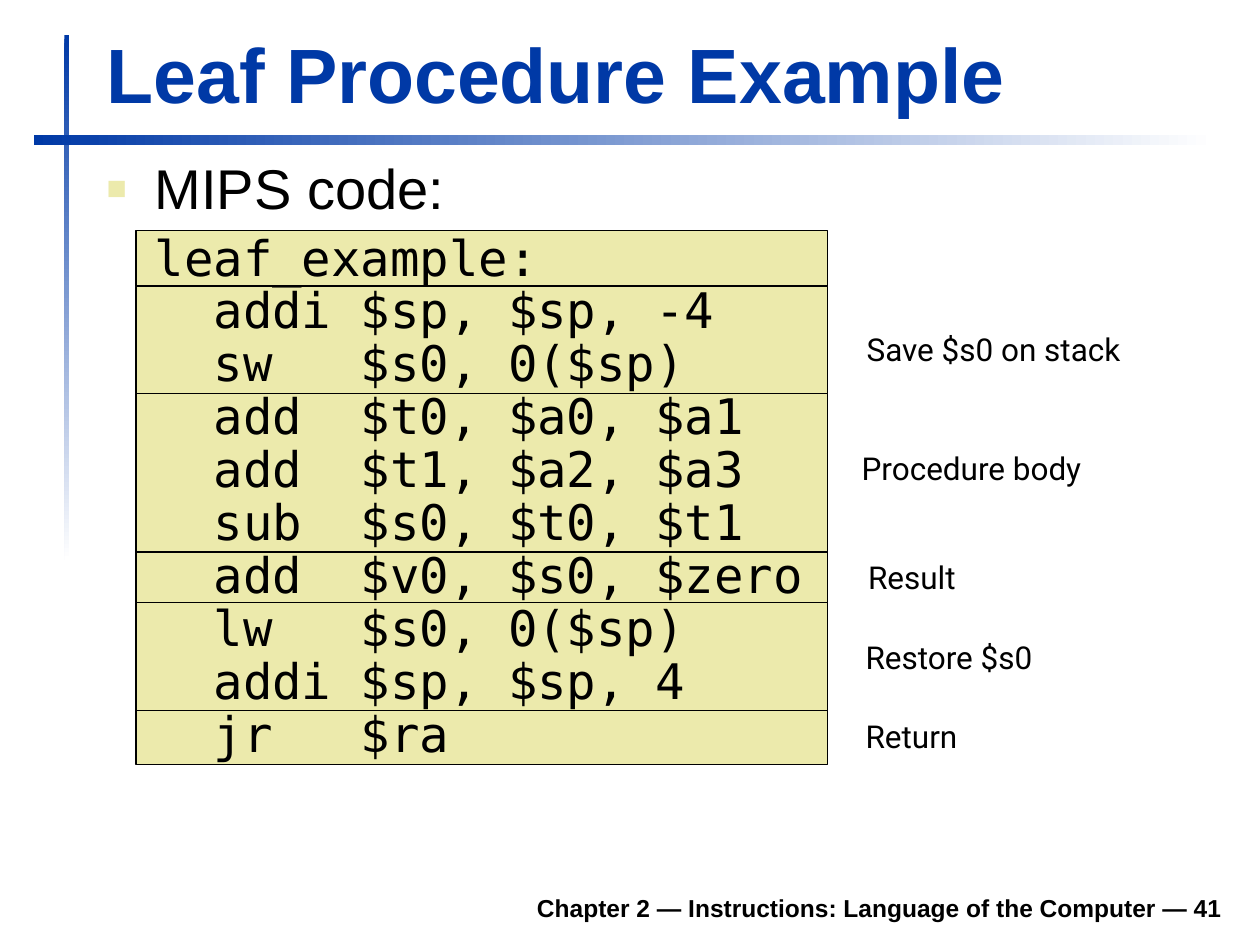
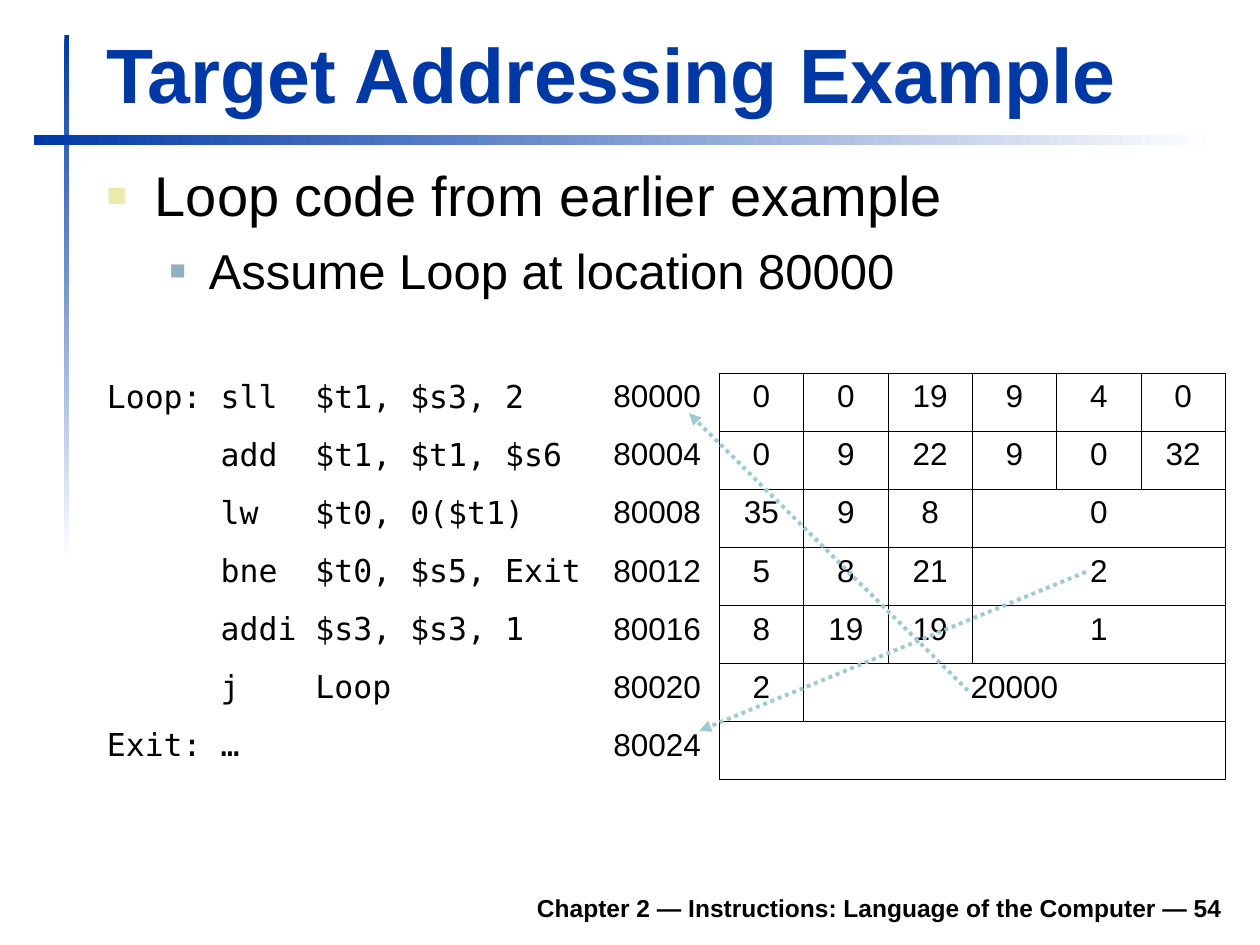
from dataclasses import dataclass

from lxml.etree import SubElement
from pptx import Presentation
from pptx.dml.color import RGBColor
from pptx.enum.dml import MSO_LINE
from pptx.enum.shapes import MSO_CONNECTOR, MSO_SHAPE
from pptx.enum.text import MSO_ANCHOR, PP_ALIGN
from pptx.oxml.ns import qn
from pptx.util import Cm, Pt

COLORS = {
    "blue": "0039A6",
    "white": "FFFFFF",
    "black": "000000",
    "sand": "ECEAAC",
    "steel": "91AFBF",
    "arrow": "9FCAD3",
}
SANS, MONO, LABEL = "Arial", "DejaVu Sans Mono", "Roboto"
FOOTER = "Chapter 2 — Instructions: Language of the Computer — "


@dataclass
class Frame:
    left: float
    top: float
    width: float
    height: float

    def lengths(self):
        return Cm(self.left), Cm(self.top), Cm(self.width), Cm(self.height)


@dataclass
class Style:
    size: float
    font: str = SANS
    color: str = "black"
    bold: bool = False
    align: PP_ALIGN = PP_ALIGN.LEFT


@dataclass
class Item:
    text: str
    style: Style
    margin: float
    hanging: float = 0
    bullet_color: str = ""
    bullet_percent: int = 0
    before: float = 0
    spacing: float = 1


@dataclass
class Band:
    height: float
    label: str = ""
    label_left: float = 0
    label_top: float = 0
    label_width: float = 0


@dataclass
class Instruction:
    code: str
    address: int
    fields: tuple


@dataclass
class Arrow:
    start: tuple
    end: tuple


TITLE_STYLE = Style(44, color="blue", bold=True)
FOOTER_STYLE = Style(14, bold=True, align=PP_ALIGN.RIGHT)
TOP_STYLE, SUB_STYLE = Style(32), Style(28)
CODE_STYLE = Style(28, MONO)
LABEL_STYLE = Style(18, LABEL)
TABLE_STYLES = (Style(18, MONO), Style(18), Style(18, align=PP_ALIGN.CENTER))

TITLE_FRAME = Frame(1.9, 0.41, 22.94, 2.11)
FOOTER_FRAME = Frame(4.7, 17.73, 20.19, 0.99)
# Gradient rules with their angles
RULES = ((Frame(1.3, 0.71, 0.1, 10.59), 270), (Frame(0.69, 2.72, 23.8, 0.2), 0))

LEAF_CODE = """leaf_example:
  addi $sp, $sp, -4
  sw   $s0, 0($sp)
  add  $t0, $a0, $a1
  add  $t1, $a2, $a3
  sub  $s0, $t0, $t1
  add  $v0, $s0, $zero
  lw   $s0, 0($sp)
  addi $sp, $sp, 4
  jr   $ra"""
BANDS = (
    Band(1.12),
    Band(2.16, "Save $s0 on stack", 17.22, 6.53, 5.72),
    Band(3.2, "Procedure body", 17.12, 8.92, 5.26),
    Band(1.02, "Result", 17.25, 11.13, 2.34),
    Band(2.18, "Restore $s0", 17.2, 12.73, 3.99),
    Band(1.09, "Return", 17.2, 14.33, 2.54),
)

LOOP_START = 80000
LOOP_LINES = (
    ("Loop: sll  $t1, $s3, 2", (0, 0, 19, 9, 4, 0)),
    ("      add  $t1, $t1, $s6", (0, 9, 22, 9, 0, 32)),
    ("      lw   $t0, 0($t1)", (35, 9, 8, 0)),
    ("      bne  $t0, $s5, Exit", (5, 8, 21, 2)),
    ("      addi $s3, $s3, 1", (8, 19, 19, 1)),
    ("      j    Loop", (2, 20000)),
    ("Exit: …", ("",)),
)
INSTRUCTIONS = [
    Instruction(code, LOOP_START + 4 * number, fields)
    for number, (code, fields) in enumerate(LOOP_LINES)
]
COLUMN_WIDTHS = (10.21, 2.39) + (1.7,) * 6
ROW_HEIGHT = 1.17
ARROWS = (
    Arrow((19.51, 13.92), (13.89, 8.33)),
    Arrow((21.89, 11.53), (14.1, 14.73)),
)


def rgb(name: str) -> RGBColor:
    return RGBColor.from_string(COLORS[name])


def style_para(para, style: Style) -> None:
    para.alignment = style.align
    para.font.size = Pt(style.size)
    para.font.name = style.font
    para.font.bold = style.bold
    para.font.color.rgb = rgb(style.color)


def add_text(page, frame: Frame, text: str, style: Style, anchor=MSO_ANCHOR.TOP) -> None:
    box = page.shapes.add_textbox(*frame.lengths())
    box.text_frame.word_wrap = True
    box.text_frame.vertical_anchor = anchor
    para = box.text_frame.paragraphs[0]
    para.text = text
    style_para(para, style)


def add_items(page, frame: Frame, items: list[Item]) -> None:
    text_frame = page.shapes.add_textbox(*frame.lengths()).text_frame
    text_frame.word_wrap = True
    for number, item in enumerate(items):
        para = text_frame.add_paragraph() if number else text_frame.paragraphs[0]
        para.text = item.text
        para.line_spacing = item.spacing
        if item.before:
            para.space_before = Pt(item.before)
        properties = para._p.get_or_add_pPr()
        properties.set("marL", str(Cm(item.margin)))
        properties.set("indent", str(-Cm(item.hanging)))
        if item.bullet_color:
            color = SubElement(properties, qn("a:buClr"))
            SubElement(color, qn("a:srgbClr"), val=COLORS[item.bullet_color])
            SubElement(properties, qn("a:buSzPct"), val=str(item.bullet_percent * 1000))
            SubElement(properties, qn("a:buFont"), typeface=SANS)
            SubElement(properties, qn("a:buChar"), char="■")
        style_para(para, item.style)


def add_rectangle(page, frame: Frame):
    box = page.shapes.add_shape(MSO_SHAPE.RECTANGLE, *frame.lengths())
    box.shadow.inherit = False
    return box


def add_page(deck, title: str, number: int):
    page = deck.slides.add_slide(deck.slide_layouts[6])
    for frame, angle in RULES:
        rule = add_rectangle(page, frame)
        rule.line.fill.background()
        rule.fill.gradient()
        rule.fill.gradient_angle = angle
        for stop, color in zip(rule.fill.gradient_stops, ("blue", "white")):
            stop.color.rgb = rgb(color)
    add_text(page, TITLE_FRAME, title, TITLE_STYLE, MSO_ANCHOR.BOTTOM)
    add_text(page, FOOTER_FRAME, f"{FOOTER}{number}", FOOTER_STYLE, MSO_ANCHOR.BOTTOM)
    return page


def add_bands(page, bands: tuple) -> None:
    top = 4.65
    for band in bands:
        box = add_rectangle(page, Frame(2.74, top, 13.94, band.height))
        box.fill.solid()
        box.fill.fore_color.rgb = rgb("sand")
        box.line.color.rgb = rgb("black")
        box.line.width = Pt(0.75)
        top += band.height
        if band.label:
            frame = Frame(band.label_left, band.label_top, band.label_width, 1.02)
            add_text(page, frame, band.label, LABEL_STYLE)


def format_cell(cell, column: int) -> None:
    """Outline the cell: white beside the code, black around the fields."""
    properties = cell._tc.get_or_add_tcPr()
    for side in ("lnL", "lnR", "lnT", "lnB"):
        black = column > 1 or (column == 1 and side == "lnR")
        line = SubElement(properties, qn(f"a:{side}"), w=str(Pt(0.45)))
        fill = SubElement(line, qn("a:solidFill"))
        SubElement(fill, qn("a:srgbClr"), val=COLORS["black" if black else "white"])
    cell.fill.background()


def add_instruction_table(page, instructions: list[Instruction]) -> None:
    rows, columns = len(instructions), len(COLUMN_WIDTHS)
    frame = Frame(1.9, 7.52, sum(COLUMN_WIDTHS), rows * ROW_HEIGHT)
    table = page.shapes.add_table(rows, columns, *frame.lengths()).table
    table.first_row = table.horz_banding = False
    for column, width in zip(table.columns, COLUMN_WIDTHS):
        column.width = Cm(width)
    for row, instruction in enumerate(instructions):
        table.rows[row].height = Cm(ROW_HEIGHT)
        for column in range(columns):
            format_cell(table.cell(row, column), column)
        values = (instruction.code, instruction.address) + instruction.fields
        # The last field takes up the rest of the row
        if len(values) < columns:
            table.cell(row, len(values) - 1).merge(table.cell(row, columns - 1))
        for column, value in enumerate(values):
            para = table.cell(row, column).text_frame.paragraphs[0]
            para.text = str(value)
            style_para(para, TABLE_STYLES[min(column, 2)])


def add_arrow(page, arrow: Arrow) -> None:
    ends = [Cm(length) for length in arrow.start + arrow.end]
    connector = page.shapes.add_connector(MSO_CONNECTOR.STRAIGHT, *ends)
    connector.line.color.rgb = rgb("arrow")
    connector.line.width = Pt(2.25)
    connector.line.dash_style = MSO_LINE.ROUND_DOT
    SubElement(connector.line._get_or_add_ln(), qn("a:tailEnd"), type="triangle")
    SubElement(connector._element.spPr, qn("a:effectLst"))


def build_leaf_page(deck) -> None:
    page = add_page(deck, "Leaf Procedure Example", 41)
    add_bands(page, BANDS)
    add_items(page, Frame(1.9, 3.12, 22.96, 14.2), [
        Item("MIPS code:", TOP_STYLE, 0.97, 0.97, "sand", 60, spacing=0.9),
        Item(LEAF_CODE, CODE_STYLE, 0.97, before=7, spacing=0.9),
    ])


def build_target_page(deck) -> None:
    page = add_page(deck, "Target Addressing Example", 54)
    add_items(page, Frame(1.9, 3.12, 22.96, 3.4), [
        Item("Loop code from earlier example", TOP_STYLE, 0.97, 0.97, "sand", 60),
        Item("Assume Loop at location 80000", SUB_STYLE, 2.06, 0.79, "steel", 55, before=7),
    ])
    add_instruction_table(page, INSTRUCTIONS)
    for arrow in ARROWS:
        add_arrow(page, arrow)


def main() -> None:
    deck = Presentation()
    deck.slide_width, deck.slide_height = Cm(25.4), Cm(19.05)
    build_leaf_page(deck)
    build_target_page(deck)
    deck.save("out.pptx")


if __name__ == "__main__":
    main()
